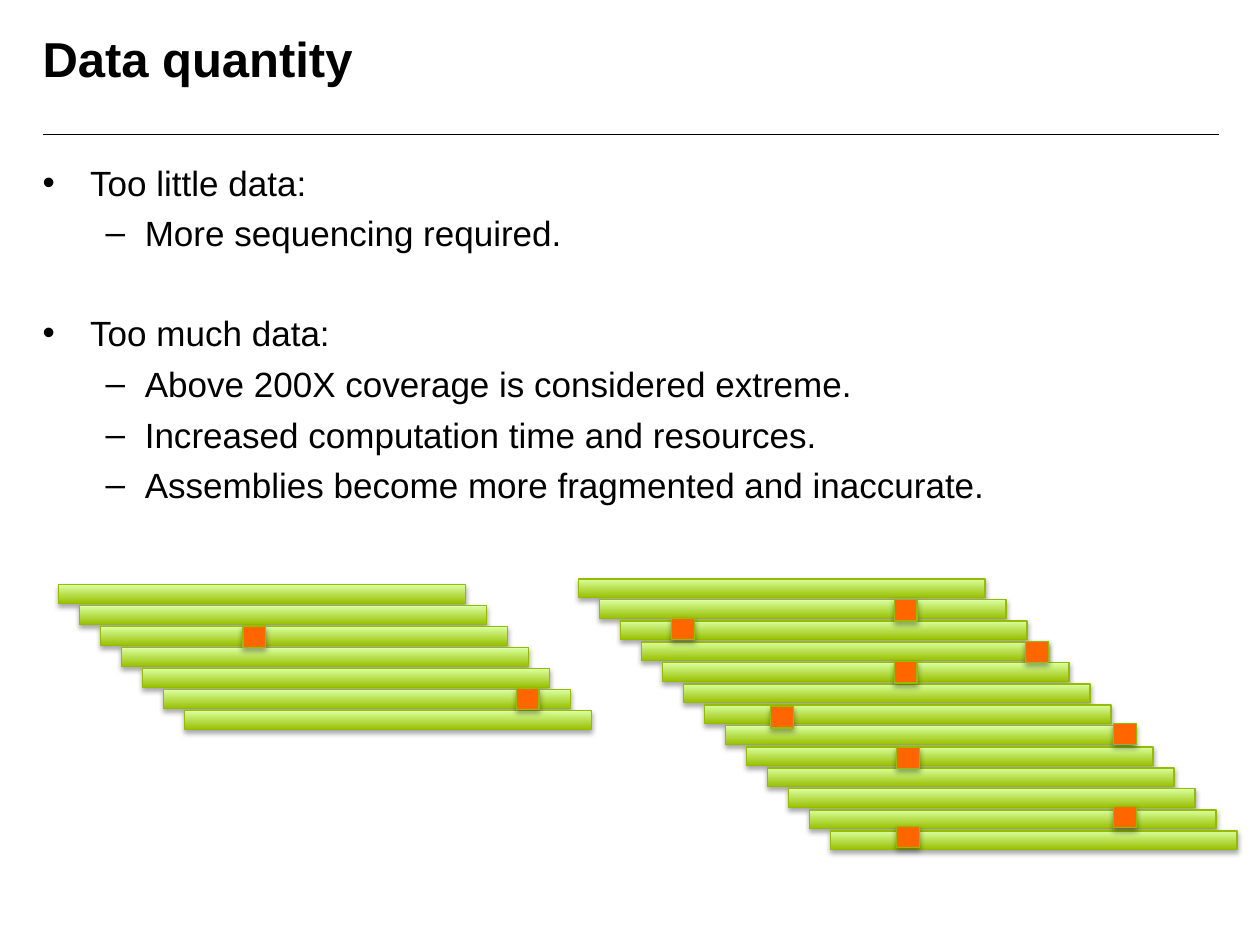
from lxml import etree
from pptx import Presentation
from pptx.dml.color import RGBColor
from pptx.enum import shapes, text
from pptx.oxml import ns
from pptx.util import Cm, Pt

BLACK = RGBColor(0x00, 0x00, 0x00)
GREEN = RGBColor(0x98, 0xC0, 0x00)
LIME = RGBColor(0xDA, 0xFF, 0xA0)
EDGE = RGBColor(0x95, 0xBC, 0x00)
ORANGE = RGBColor(0xFF, 0x66, 0x00)

LEFT, WIDE = 0.86, 23.72
STEP = 2.54 / 6
POINTS = [
    ("Too little data:", 0, 0),
    ("More sequencing required.", 1, 5),
    ("Too much data:", 0, 33),
    ("Above 200X coverage is considered extreme.", 1, 5),
    ("Increased computation time and resources.", 1, 5),
    ("Assemblies become more fragmented and inaccurate.", 1, 5),
]
MARKS = [("•", 0.96, -0.96), ("–", 2.06, -0.79)]
FEW = [(4.9, 12.62), (10.41, 13.87)]
MANY = [
    (18.03, 12.09), (18.03, 13.34), (18.08, 15.06),
    (18.08, 16.66), (13.54, 12.47), (15.54, 14.25),
    (20.68, 12.93), (22.45, 14.58), (22.45, 16.26),
]


def add_sub(parent, tag, **attrs):
    node = etree.SubElement(parent, ns.qn(tag))
    for key, val in attrs.items():
        node.set(key, str(val))
    return node


def add_frame(slide, top, high):
    box = slide.shapes.add_textbox(Cm(LEFT), Cm(top), Cm(WIDE), Cm(high))
    frame = box.text_frame
    frame.word_wrap = True
    frame.vertical_anchor = text.MSO_ANCHOR.TOP
    frame.margin_left = frame.margin_right = 0
    frame.margin_top = frame.margin_bottom = 0
    return frame


def add_text(para, words, size=20, bold=False, color=BLACK, before=0):
    para.space_before = Pt(before)
    run = para.add_run()
    run.text = words
    run.font.name = "Arial"
    run.font.size = Pt(size)
    run.font.bold = bold
    run.font.color.rgb = color


def set_mark(para, level):
    mark, margin, indent = MARKS[level]
    para.level = level
    props = para._p.get_or_add_pPr()
    props.set("marL", str(Cm(margin)))
    props.set("indent", str(Cm(indent)))
    add_sub(props, "a:buFont", typeface="Arial")
    add_sub(props, "a:buChar", char=mark)


def add_list(slide):
    frame = add_frame(slide, 3.25, 13.77)
    for row, (words, level, before) in enumerate(POINTS):
        para = frame.add_paragraph() if row else frame.paragraphs[0]
        add_text(para, words, before=before)
        set_mark(para, level)


def add_rule(slide):
    rule = slide.shapes.add_connector(
        shapes.MSO_CONNECTOR.STRAIGHT,
        Cm(LEFT), Cm(2.71), Cm(LEFT + WIDE), Cm(2.71))
    rule.line.color.rgb = BLACK
    rule.line.width = Pt(1)
    add_sub(rule._element.spPr, "a:effectLst")


def add_block(group, left, top, wide, high):
    block = group.shapes.add_shape(
        shapes.MSO_SHAPE.RECTANGLE, Cm(left), Cm(top), Cm(wide), Cm(high))
    block.line.color.rgb = EDGE
    block.line.width = Pt(0.75)
    block.shadow.inherit = False
    effects = block._element.spPr.find(ns.qn("a:effectLst"))
    shade = add_sub(effects, "a:outerShdw", blurRad=Pt(3.1), dist=Pt(1.8),
                    dir=5400000, rotWithShape=0)
    color = add_sub(shade, "a:srgbClr", val="000000")
    add_sub(color, "a:alpha", val=35000)
    return block


def add_read(group, left, top):
    fill = add_block(group, left, top, 8.2, 0.38).fill
    fill.gradient()
    fill.gradient_angle = 90
    for stop, place, color in zip(fill.gradient_stops, (0, 1), (GREEN, LIME)):
        stop.position = place
        stop.color.rgb = color


def add_error(group, left, top):
    fill = add_block(group, left, top, 0.46, 0.43).fill
    fill.solid()
    fill.fore_color.rgb = ORANGE


def add_stack(slide, left, top, count, errors):
    group = slide.shapes.add_group_shape()
    for row in range(count):
        add_read(group, left + row * STEP, top + row * STEP)
    for spot in errors:
        add_error(group, *spot)


def main():
    deck = Presentation()
    deck.slide_width, deck.slide_height = Cm(25.4), Cm(19.05)
    slide = deck.slides.add_slide(deck.slide_layouts[6])
    add_rule(slide)
    title = add_frame(slide, 0.58, 1.75)
    add_text(title.paragraphs[0], "Data quantity", size=28, bold=True)
    add_list(slide)
    add_stack(slide, 1.18, 11.79, 7, FEW)
    add_stack(slide, 11.66, 11.67, 13, MANY)
    deck.save("out.pptx")


if __name__ == "__main__":
    main()
